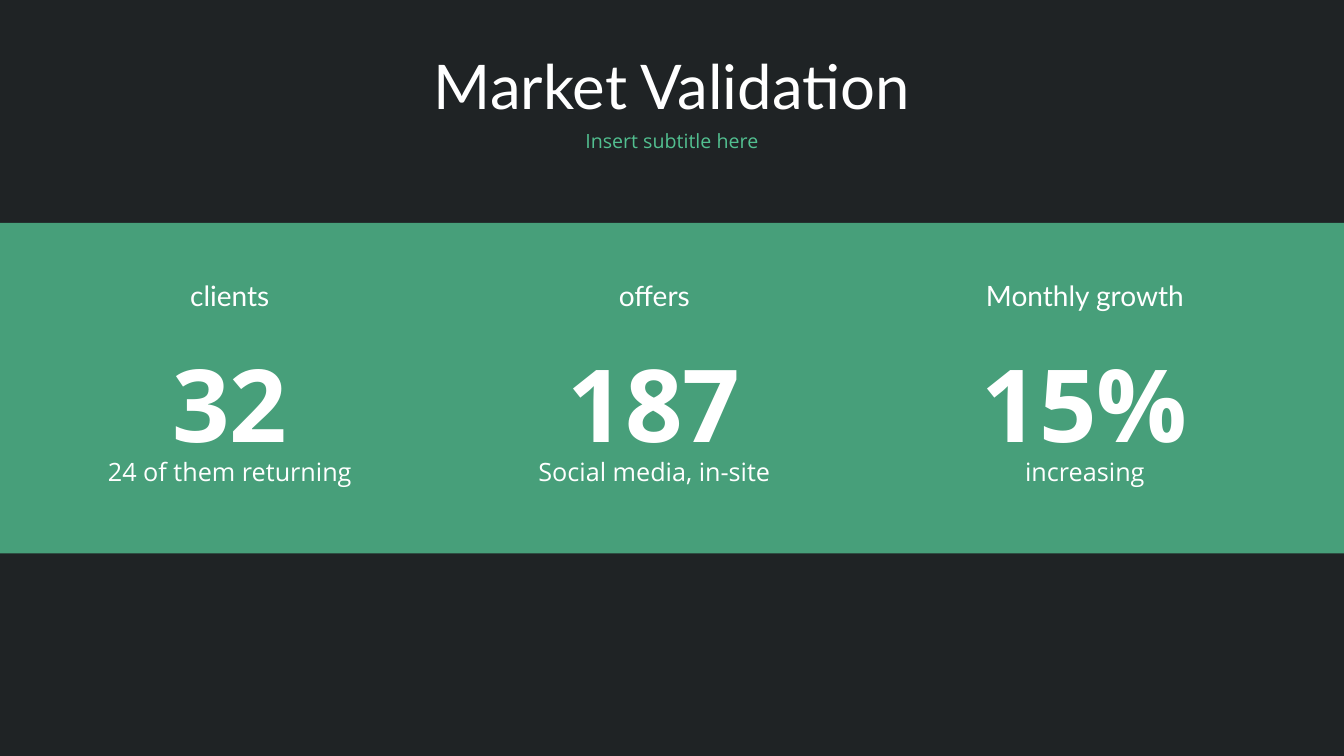
from lxml import etree
from pptx import Presentation
from pptx.dml.color import RGBColor
from pptx.enum.shapes import MSO_SHAPE as SHAPE
from pptx.enum.text import MSO_ANCHOR as ANCHOR, MSO_AUTO_SIZE as FIT, PP_ALIGN as ALIGN
from pptx.oxml.ns import qn
from pptx.util import Inches, Pt

W, H = 13.33, 7.5
COLORS = {"back": "3F3F3F", "veil": "181E20", "green": "52BF90", "white": "FFFFFF"}
HEAD, BODY = "Lato", "Open Sans"

# Column centre, label width, label, figure, note
METRICS = [
    (2.28, 3.33, "clients", "32", "24 of them returning"),
    (6.49, 3.33, "offers", "187", "Social media, in-site"),
    (10.76, 3.91, "Monthly growth", "15%", "increasing"),
]
FIGURE_WIDTH = 2.94


def rgb(name):
    return RGBColor.from_string(COLORS[name])


def add_band(s, top, height, color, opacity):
    """Full-width translucent rectangle."""
    sp = s.shapes.add_shape(SHAPE.RECTANGLE, 0, Inches(top), Inches(W), Inches(height))
    sp.shadow.inherit = False
    sp.line.fill.background()
    sp.fill.solid()
    sp.fill.fore_color.rgb = rgb(color)
    clr = sp.fill._xPr.find(".//" + qn("a:srgbClr"))
    etree.SubElement(clr, qn("a:alpha")).set("val", str(opacity * 1000))


def add_text(s, text, center, top, width, height, size, font, color="white",
             bold=False, spacing=1.0, anchor=ANCHOR.TOP, fit=FIT.NONE):
    """Centred one-line text around a column centre."""
    sp = s.shapes.add_textbox(Inches(center - width / 2), Inches(top),
                              Inches(width), Inches(height))
    tf = sp.text_frame
    tf.text = text
    tf.word_wrap = True
    tf.auto_size = fit
    tf.vertical_anchor = anchor
    p = tf.paragraphs[0]
    p.alignment = ALIGN.CENTER
    p.line_spacing = spacing
    r = p.runs[0]
    r.font.name = font
    r.font.size = Pt(size)
    r.font.bold = bold
    r.font.color.rgb = rgb(color)


def add_metric(s, center, label_width, label, figure, note):
    """Label, large figure and note stacked in one column."""
    grow = {"spacing": 1.5, "fit": FIT.SHAPE_TO_FIT_TEXT}
    add_text(s, note, center, 4.33, FIGURE_WIDTH, 0.56, 18, BODY, **grow)
    add_text(s, label, center, 2.67, label_width, 0.51, 20, HEAD, anchor=ANCHOR.MIDDLE)
    add_text(s, figure, center, 2.74, FIGURE_WIDTH, 1.72, 72, BODY, bold=True, **grow)


def main():
    prs = Presentation()
    prs.slide_width, prs.slide_height = Inches(W), Inches(H)
    s = prs.slides.add_slide(prs.slide_layouts[6])

    # Background
    s.background.fill.solid()
    s.background.fill.fore_color.rgb = rgb("back")
    add_band(s, 0, H, "veil", 82)

    # Heading
    add_text(s, "Market Validation", W / 2, 0.4, 11.5, 0.98, 44, HEAD,
             spacing=0.9, anchor=ANCHOR.MIDDLE)
    add_text(s, "Insert subtitle here", W / 2, 1.26, 11.5, 0.4, 14, BODY,
             color="green", spacing=0.9)

    # Metrics
    add_band(s, 2.21, 3.28, "green", 80)
    for metric in METRICS:
        add_metric(s, *metric)

    prs.save("out.pptx")


if __name__ == "__main__":
    main()
